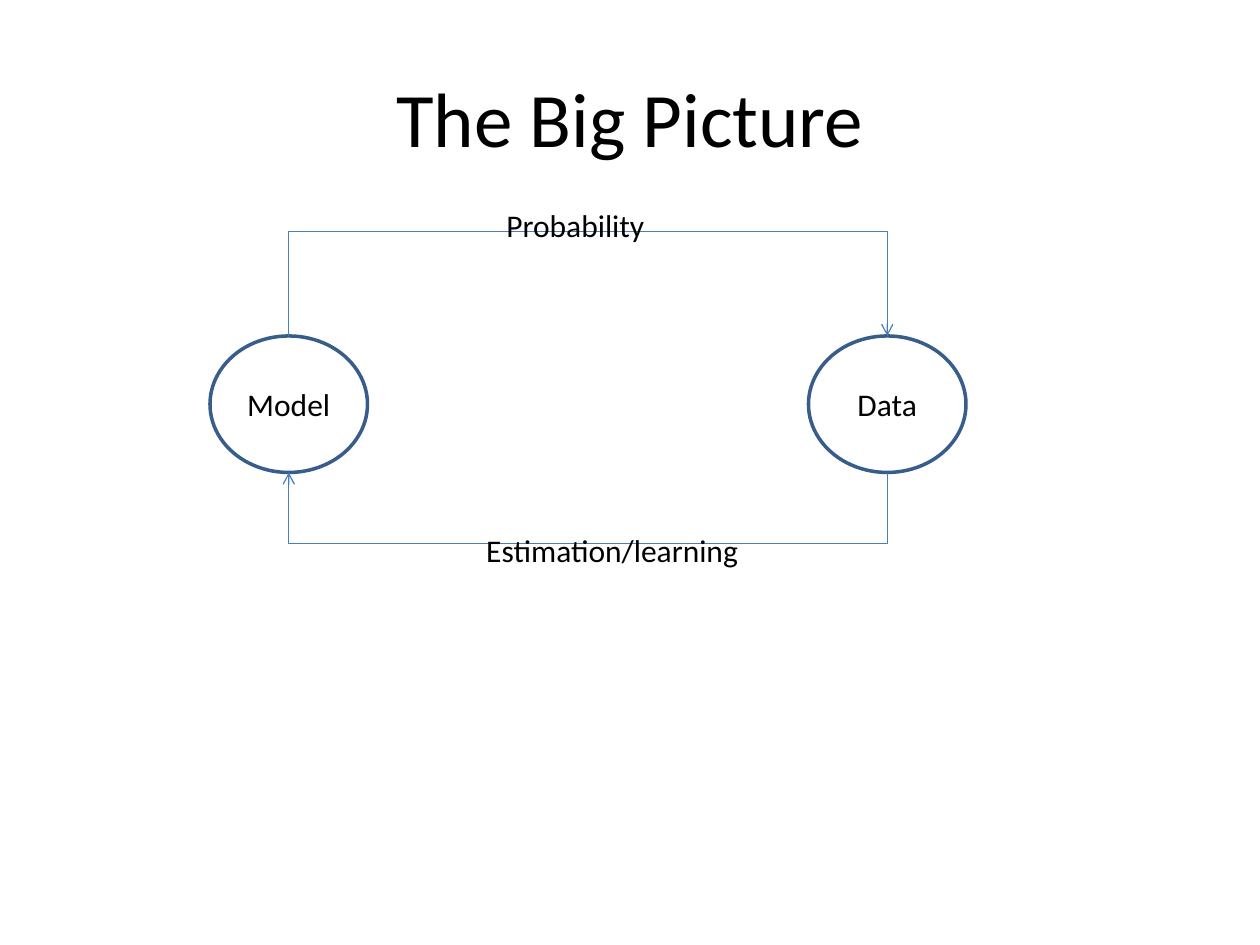
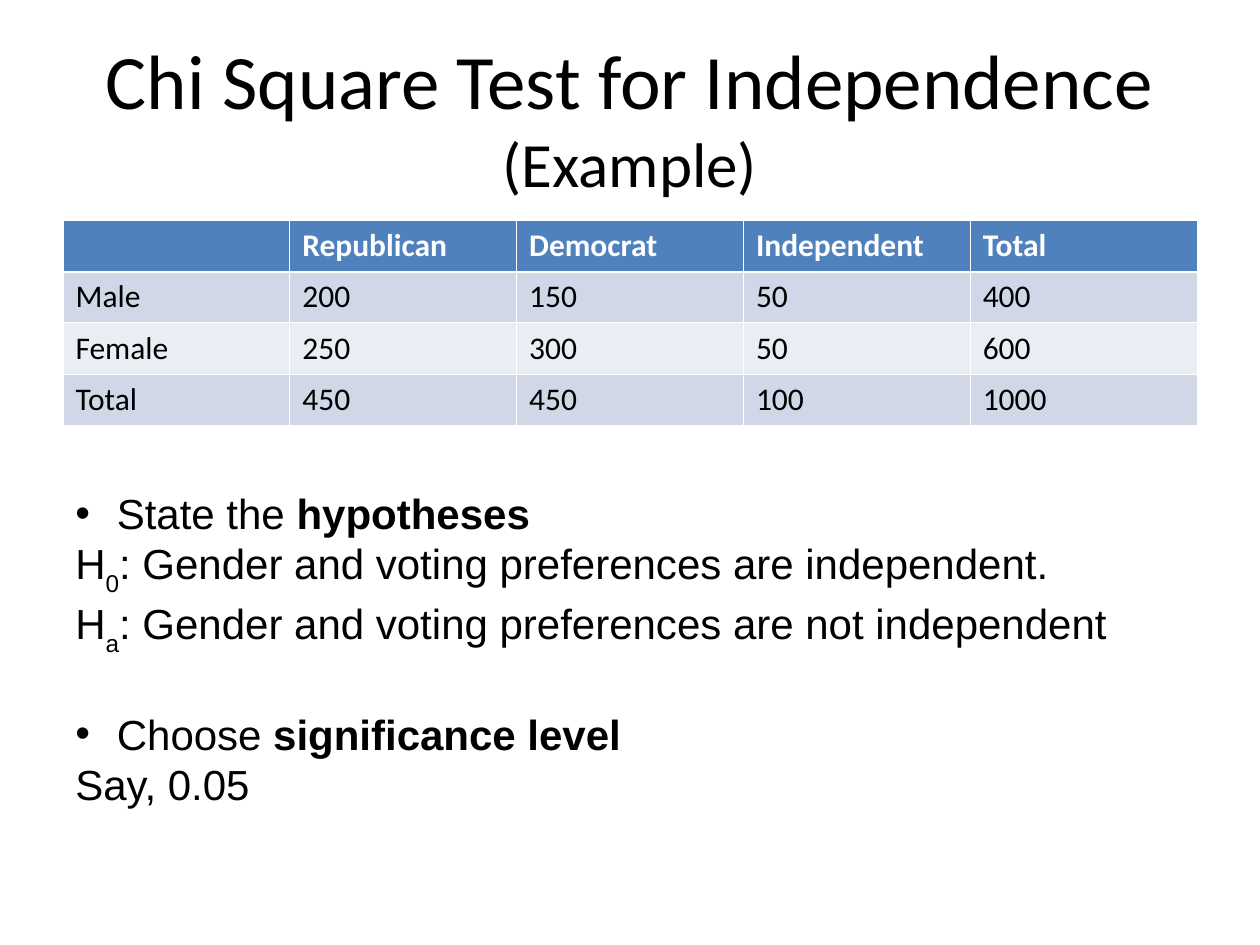
from dataclasses import dataclass

from lxml.etree import SubElement
from pptx import Presentation
from pptx.dml.color import RGBColor
from pptx.enum.shapes import MSO_SHAPE
from pptx.enum.text import MSO_ANCHOR, PP_ALIGN
from pptx.oxml.ns import qn
from pptx.util import Pt


@dataclass(frozen=True)
class Theme:
    heading_font: str = "Calibri"
    body_font: str = "Arial"
    text: RGBColor = RGBColor(0, 0, 0)
    white: RGBColor = RGBColor(255, 255, 255)
    node_line: RGBColor = RGBColor.from_string("385D8A")
    arrow: RGBColor = RGBColor.from_string("4A7EBB")
    header_fill: RGBColor = RGBColor.from_string("4F81BD")
    odd_fill: RGBColor = RGBColor.from_string("D0D8E8")
    even_fill: RGBColor = RGBColor.from_string("E9EDF4")
    title_size: int = 44
    subtitle_size: int = 36
    body_size: int = 24
    label_size: int = 18


THEME = Theme()


def add_run(paragraph, text, size=THEME.label_size, font=THEME.heading_font,
            color=THEME.text, bold=False):
    run = paragraph.add_run()
    run.text = text
    run.font.size = Pt(size)
    run.font.name = font
    run.font.color.rgb = color
    run.font.bold = bold
    return run


def add_titled_slide(deck, title, subtitle=None):
    slide = deck.slides.add_slide(deck.slide_layouts[6])
    frame = slide.shapes.add_textbox(Pt(36), Pt(21.6), Pt(648), Pt(90)).text_frame
    frame.word_wrap = True
    frame.vertical_anchor = MSO_ANCHOR.MIDDLE
    heading = frame.paragraphs[0]
    heading.alignment = PP_ALIGN.CENTER
    add_run(heading, title, THEME.title_size)
    if subtitle:
        heading.add_line_break()
        add_run(heading, subtitle, THEME.subtitle_size)
    return slide


deck = Presentation()
deck.slide_width, deck.slide_height = Pt(720), Pt(540)

# The Big Picture: model and data joined in a cycle
cycle = add_titled_slide(deck, "The Big Picture")
MODEL_X, DATA_X = 165, 507
NODE_TOP, NODE_WIDTH, NODE_HEIGHT = 192, 90, 78
NODE_BOTTOM = NODE_TOP + NODE_HEIGHT

for name, center_x in (("Model", MODEL_X), ("Data", DATA_X)):
    node = cycle.shapes.add_shape(
        MSO_SHAPE.OVAL, Pt(center_x - NODE_WIDTH / 2), Pt(NODE_TOP),
        Pt(NODE_WIDTH), Pt(NODE_HEIGHT))
    node.shadow.inherit = False
    node.fill.background()
    node.line.color.rgb = THEME.node_line
    node.line.width = Pt(2)
    node.text_frame.vertical_anchor = MSO_ANCHOR.MIDDLE
    node.text_frame.paragraphs[0].alignment = PP_ALIGN.CENTER
    add_run(node.text_frame.paragraphs[0], name)

# Label, its left, top and width, then the arrow's ends and turning height
steps = (
    ("Probability", 282.3, 114, 94, MODEL_X, DATA_X, NODE_TOP, 132.3),
    ("Estimation/learning", 270.8, 300, 160, DATA_X, MODEL_X, NODE_BOTTOM, 310.5),
)
for label, left, top, width, start_x, end_x, node_y, turn_y in steps:
    route = cycle.shapes.build_freeform(Pt(start_x), Pt(node_y))
    route.add_line_segments(
        [(Pt(start_x), Pt(turn_y)), (Pt(end_x), Pt(turn_y)), (Pt(end_x), Pt(node_y))],
        close=False)
    arrow = route.convert_to_shape()
    arrow.shadow.inherit = False
    arrow.fill.background()
    arrow.line.color.rgb = THEME.arrow
    arrow.line.width = Pt(0.75)
    SubElement(arrow.line._get_or_add_ln(), qn("a:tailEnd"), type="arrow")

    frame = cycle.shapes.add_textbox(Pt(left), Pt(top), Pt(width), Pt(29)).text_frame
    frame.word_wrap = False
    add_run(frame.paragraphs[0], label)

# Chi Square Test: contingency table and first steps
example = add_titled_slide(deck, "Chi Square Test for Independence", "(Example)")
votes = (
    ("", "Republican", "Democrat", "Independent", "Total"),
    ("Male", "200", "150", "50", "400"),
    ("Female", "250", "300", "50", "600"),
    ("Total", "450", "450", "100", "1000"),
)
ROW_HEIGHT = 29.25
table = example.shapes.add_table(
    len(votes), len(votes[0]), Pt(36), Pt(126), Pt(648),
    Pt(ROW_HEIGHT * len(votes))).table

for row_index, row in enumerate(votes):
    is_header = row_index == 0
    if is_header:
        row_fill = THEME.header_fill
    else:
        row_fill = THEME.odd_fill if row_index % 2 else THEME.even_fill
    borders = {
        "a:lnL": 0.45,
        "a:lnR": 0.45,
        "a:lnT": 1.47 if row_index == 1 else 0.45,
        "a:lnB": 1.47 if is_header else 0.45,
    }
    for column_index, value in enumerate(row):
        cell = table.cell(row_index, column_index)
        properties = cell._tc.get_or_add_tcPr()
        for side, weight in borders.items():
            border = SubElement(properties, qn(side), w=str(Pt(weight)))
            border_fill = SubElement(border, qn("a:solidFill"))
            SubElement(border_fill, qn("a:srgbClr"), val=str(THEME.white))
        cell.fill.solid()
        cell.fill.fore_color.rgb = row_fill
        if value:
            add_run(cell.text_frame.paragraphs[0], value,
                    color=THEME.white if is_header else THEME.text, bold=is_header)

# Each paragraph: bulleted, space before, lines of runs with their style
procedure = (
    (True, 0, ((("State the ", ""), ("hypotheses", "bold")),)),
    (False, 0, (
        (("H", ""), ("0", "subscript"),
         (": Gender and voting preferences are independent.", "")),
        (("H", ""), ("a", "subscript"),
         (": Gender and voting preferences are not independent", "")),
    )),
    (True, 29.3, ((("Choose", ""), (" significance level", "bold")),)),
    (False, 0, ((("Say, 0.05", ""),),)),
)
frame = example.shapes.add_textbox(Pt(36), Pt(275), Pt(618), Pt(191)).text_frame
frame.word_wrap = True
frame.vertical_anchor = MSO_ANCHOR.MIDDLE
for index, (bulleted, space_before, lines) in enumerate(procedure):
    paragraph = frame.add_paragraph() if index else frame.paragraphs[0]
    paragraph.space_before = Pt(space_before)
    if bulleted:
        properties = paragraph._p.get_or_add_pPr()
        properties.set("marL", str(Pt(23.7)))
        properties.set("indent", str(-Pt(23.7)))
        SubElement(properties, qn("a:buFont"), typeface=THEME.body_font)
        SubElement(properties, qn("a:buChar"), char="•")
    for line_index, runs in enumerate(lines):
        if line_index:
            paragraph.add_line_break()
        for text, style in runs:
            run = add_run(paragraph, text, THEME.body_size, THEME.body_font,
                          bold=style == "bold")
            if style == "subscript":
                run.font._element.set("baseline", "-30000")

deck.save("out.pptx")
